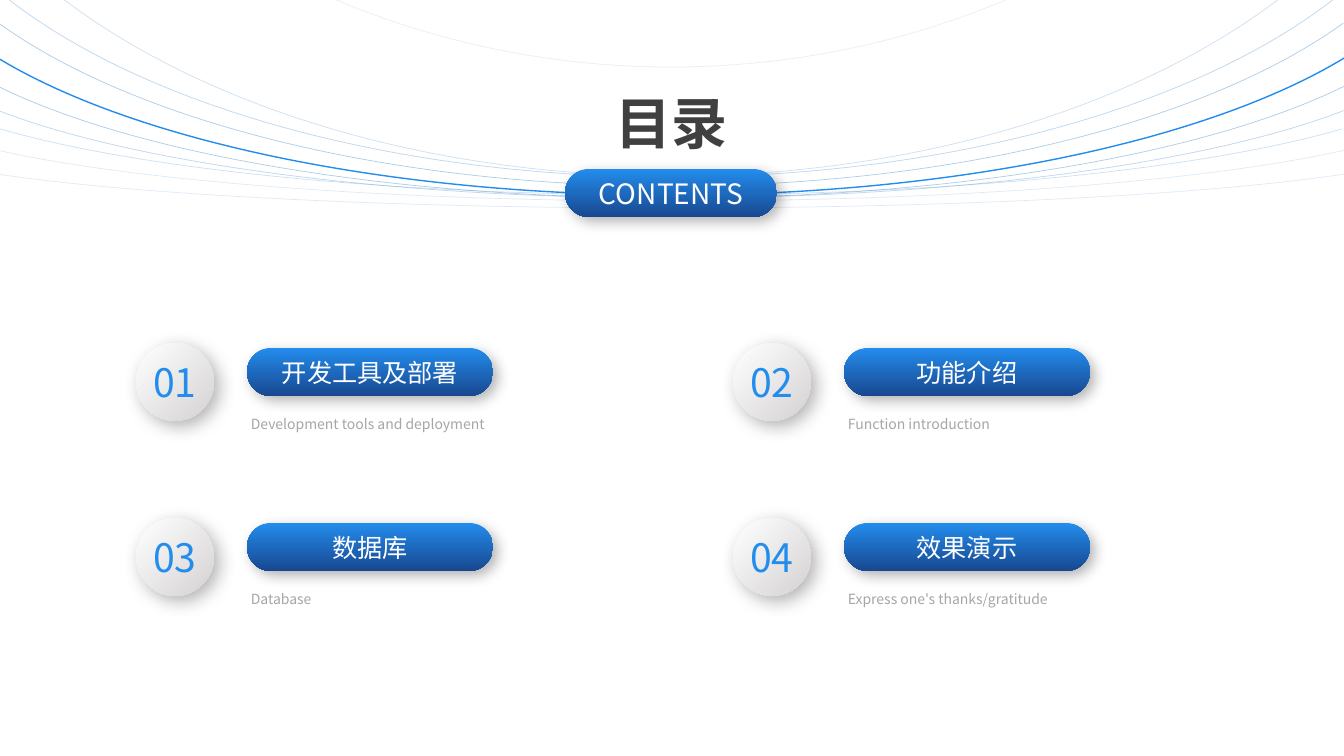
"""Build a contents slide with sweeping arcs and four numbered entries."""
from dataclasses import dataclass

from lxml import etree
from pptx import Presentation
from pptx import util as u
from pptx.dml.color import RGBColor
from pptx.enum import shapes, text
from pptx.oxml.ns import qn


@dataclass(frozen=True)
class Theme:
    """Colours, font and type sizes of the deck."""
    font: str = "Noto Sans CJK SC"
    blue: tuple = ("238DED", "18478F")
    silver: tuple = ("FFFFFF", "D4D2D3")
    ink: tuple = ("404040", "0D0D0D")
    arc: str = "5B9BD5"
    white: str = "FFFFFF"
    grey: str = "A6A6A6"
    shadow: str = "000000"
    title: int = 40
    number: int = 28
    banner: int = 20
    label: int = 18
    caption: int = 10


THEME = Theme()
PAGE_WIDTH, PAGE_HEIGHT = 1344, 756
ARC_LEFT, ARC_WIDTH, ARC_ANGLE_SUM = -109, 1560, 324
ARCS = [
    (-1321, 1388, 124.84, 15),
    (-772, 948, 119.86, 30),
    (-576, 753, 117.47, 40),
    (-475, 661, 116.4, 50),
    (-359, 554, 115.01, None),
    (-254, 452, 113.73, 50),
    (-156, 354, 112.55, 40),
    (-75, 270, 111.52, 30),
    (-4, 205, 110.6, 20),
    (71, 137, 109.5, 20),
]
ENTRIES = [
    ("开发工具及部署", "Development tools and deployment"),
    ("功能介绍", "Function introduction"),
    ("数据库", "Database"),
    ("效果演示", "Express one's thanks/gratitude"),
]
ENTRY_LEFT, ENTRY_TOP, COLUMN_STEP, ROW_STEP = 136, 343, 597, 175


def px(length):
    """Turn pixels into EMU."""
    return u.Inches(length / 100.8)


def paint(fill, colour, angle=90):
    """Fill with one colour, or with a two-colour gradient at a clockwise angle."""
    if isinstance(colour, str):
        fill.solid()
        fill.fore_color.rgb = RGBColor.from_string(colour)
        return
    fill.gradient()
    fill.gradient_angle = 360 - angle
    for stop, shade in zip(fill.gradient_stops, colour):
        stop.color.rgb = RGBColor.from_string(shade)


def set_alpha(colour_element, percent):
    """Give a colour element an opacity."""
    etree.SubElement(colour_element, qn("a:alpha"), val=str(percent * 1000))


def add_shadow(shape, blur):
    """Cast a soft shadow to the lower right."""
    shape.shadow.inherit = False
    effects = shape.element.spPr.find(qn("a:effectLst"))
    outer = etree.SubElement(
        effects, qn("a:outerShdw"), blurRad=str(u.Pt(blur)), dist=str(u.Pt(5)),
        dir=str(45 * 60000), algn="tl", rotWithShape="0")
    set_alpha(etree.SubElement(outer, qn("a:srgbClr"), val=THEME.shadow), 30)


def write(shape, words, size, colour, angle=90, bold=False, wrap=True, spacing=None,
          align=text.PP_ALIGN.CENTER, anchor=text.MSO_ANCHOR.MIDDLE, grow=False):
    """Write one formatted paragraph into a shape."""
    frame = shape.text_frame
    frame.word_wrap = wrap
    frame.vertical_anchor = anchor
    if grow:
        frame.auto_size = text.MSO_AUTO_SIZE.SHAPE_TO_FIT_TEXT
    para = frame.paragraphs[0]
    para.alignment = align
    if spacing:
        para.line_spacing = spacing
    span = para.add_run()
    span.text = words
    span.font.size = u.Pt(size)
    span.font.bold = bold
    span.font.name = THEME.font
    paint(span.font.fill, colour, angle)
    properties = span.font.fill and span._r.get_or_add_rPr()
    etree.SubElement(properties, qn("a:ea"), typeface=THEME.font)


def add_button(page, kind, left, top, width, height, colour, angle, blur):
    """Add a raised gradient shape without an outline."""
    button = page.shapes.add_shape(kind, px(left), px(top), px(width), px(height))
    paint(button.fill, colour, angle)
    button.line.fill.background()
    add_shadow(button, blur)
    return button


def add_pill(page, left, top, width, height, words, size):
    """Add a blue pill with white text."""
    pill = add_button(page, shapes.MSO_SHAPE.ROUNDED_RECTANGLE, left, top, width, height,
                      THEME.blue, 90, 10)
    pill.adjustments[0] = 0.5
    write(pill, words, size, THEME.white)


def add_arcs(page, left, width):
    """Draw the arcs that sweep across the top of the page."""
    for top, height, start, alpha in ARCS:
        arc = page.shapes.add_shape(shapes.MSO_SHAPE.ARC, px(left), px(top), px(width), px(height))
        arc.rotation = 180
        arc.adjustments[0] = start
        arc.adjustments[1] = ARC_ANGLE_SUM - start
        arc.shadow.inherit = False
        arc.fill.background()
        paint(arc.line.fill, THEME.arc if alpha else THEME.blue[0])
        arc.line.width = u.Pt(0.5 if alpha else 1)
        if alpha:
            set_alpha(arc.element.spPr.find(".//" + qn("a:srgbClr")), alpha)


def add_heading(page, left, top, width):
    """Add the banner pill with the title above it."""
    add_pill(page, left, top + 85, width, 48, "CONTENTS", THEME.banner)
    title = page.shapes.add_textbox(px(left + 39), px(top), px(width - 78), px(78))
    write(title, "目录", THEME.title, THEME.ink, bold=True, wrap=False,
          anchor=text.MSO_ANCHOR.TOP, grow=True)


def add_entry(page, left, top, number, label, caption):
    """Add a numbered disc with its label and caption."""
    disc = add_button(page, shapes.MSO_SHAPE.OVAL, left, top, 78, 78, THEME.silver, 45, 13)
    write(disc, f"{number:02d}", THEME.number, THEME.blue, angle=45, wrap=False)
    add_pill(page, left + 111, top + 5, 246, 48, label, THEME.label)
    note = page.shapes.add_textbox(px(left + 105), px(top + 63), px(413), px(32))
    write(note, caption, THEME.caption, THEME.grey, spacing=1.3,
          align=text.PP_ALIGN.LEFT, anchor=text.MSO_ANCHOR.TOP, grow=True)


def add_contents_page(deck):
    """Add the contents page."""
    page = deck.slides.add_slide(deck.slide_layouts[6])
    paint(page.background.fill, THEME.white)
    add_arcs(page, ARC_LEFT, ARC_WIDTH)
    add_heading(page, 565, 84, 212)
    for index, (label, caption) in enumerate(ENTRIES):
        row, column = divmod(index, 2)
        add_entry(page, ENTRY_LEFT + column * COLUMN_STEP, ENTRY_TOP + row * ROW_STEP,
                  index + 1, label, caption)


def main():
    """Build and save the deck."""
    deck = Presentation()
    deck.slide_width, deck.slide_height = px(PAGE_WIDTH), px(PAGE_HEIGHT)
    add_contents_page(deck)
    deck.save("out.pptx")


if __name__ == "__main__":
    main()
